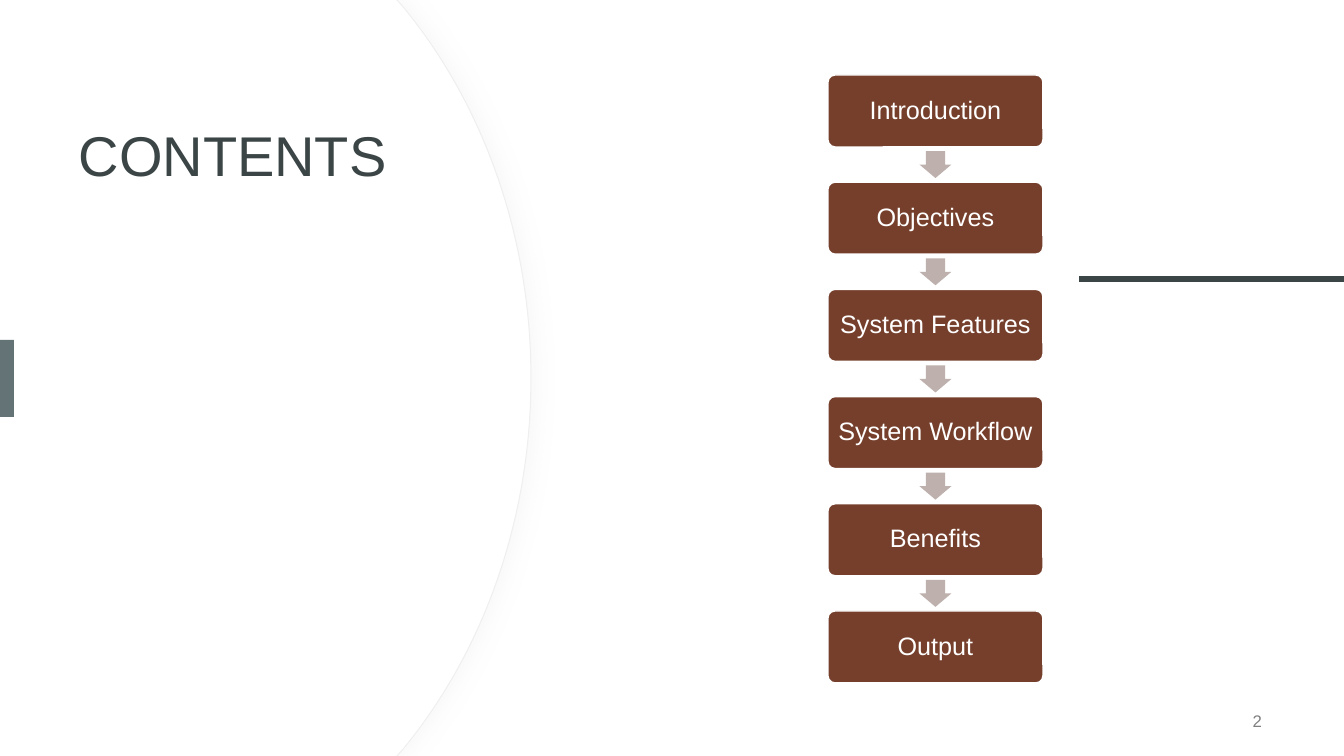
from lxml.etree import SubElement
from pptx import Presentation
from pptx.dml.color import RGBColor
from pptx.enum.shapes import MSO_CONNECTOR, MSO_SHAPE
from pptx.enum.text import MSO_ANCHOR, PP_ALIGN
from pptx.oxml.ns import qn
from pptx.util import Pt

SCALE = 914400 / 100.8
WIDE, HIGH = 1344, 756
FONT = "Arial"
INK = {
    "paper": "FFFFFF", "edge": "EFEFEF", "shade": "D9D9D9", "dark": "3B4546",
    "tab": "637376", "box": "753F2C", "arrow": "BDB0AD", "page": "808080",
}
STEPS = ["Introduction", "Objectives", "System Features",
         "System Workflow", "Benefits", "Output"]


def px(*sizes):
    return [round(size * SCALE) for size in sizes]


def tint(name):
    return RGBColor.from_string(INK[name])


def paint(shape, fill, line=None, width=1):
    shape.shadow.inherit = False
    shape.fill.solid()
    shape.fill.fore_color.rgb = tint(fill)
    if line:
        shape.line.color.rgb = tint(line)
        shape.line.width = Pt(width)
    else:
        shape.line.fill.background()


def add_block(slide, kind, box, fill, line=None):
    shape = slide.shapes.add_shape(kind, *px(*box))
    paint(shape, fill, line)
    return shape


def write(shape, text, size, color, align=PP_ALIGN.LEFT,
          anchor=MSO_ANCHOR.MIDDLE, lead=1.0):
    frame = shape.text_frame
    frame.word_wrap = True
    frame.vertical_anchor = anchor
    para = frame.paragraphs[0]
    para.alignment = align
    para.line_spacing = lead
    run = para.add_run()
    run.text = text
    run.font.name = FONT
    run.font.size = Pt(size)
    run.font.color.rgb = tint(color)


def add_rule(slide, left, right, y):
    line = slide.shapes.add_connector(
        MSO_CONNECTOR.STRAIGHT, *px(left, y, right, y))
    line.line.color.rgb = tint("dark")
    line.line.width = Pt(4.5)
    SubElement(line._element.spPr, qn("a:effectLst"))


def add_glow(shape):
    """Cast a soft, faint shadow to the right of the shape."""
    effects = shape._element.spPr.find(qn("a:effectLst"))
    shadow = SubElement(effects, qn("a:outerShdw"), blurRad=str(Pt(15)),
                        dist=str(Pt(3)), dir="0", algn="l", rotWithShape="0")
    color = SubElement(shadow, qn("a:srgbClr"), val=INK["shade"])
    SubElement(color, qn("a:alpha"), val="20000")


def add_bulge(slide, right, high):
    """Add a full-height panel whose right side bows out to the given x."""
    mid = high / 2
    near, far = right - 134, right - 127
    form = slide.shapes.build_freeform(0, 0, scale=SCALE)
    form.add_line_segments([(near, 0), (far, 8), (right, mid),
                            (far, high - 8), (near, high), (0, high)])
    shape = form.convert_to_shape()
    lines = shape._element.spPr.findall(".//" + qn("a:lnTo"))
    curves = {2: [(right - 49, 103), (right, mid - 144)],
              3: [(right, mid + 144), (right - 49, high - 103)]}
    for i, pulls in curves.items():
        line = lines[i]
        line.tag = qn("a:cubicBezTo")
        for spot, (x, y) in enumerate(pulls):
            pull = SubElement(line, qn("a:pt"), x=str(round(x)), y=str(round(y)))
            line.insert(spot, pull)
    return shape


def add_panel(slide, box):
    left, top, width, height = box
    back = add_bulge(slide, left + width, height)
    paint(back, "paper", "edge", 0.75)
    add_glow(back)
    paint(add_bulge(slide, left + width - 1, height), "paper")
    title = slide.shapes.add_textbox(
        *px(left + 69, top + 129, width - 134, height - 257))
    write(title, "CONTENTS", 40, "dark", anchor=MSO_ANCHOR.TOP, lead=0.8)
    add_block(slide, MSO_SHAPE.RECTANGLE, (left, top + 340, 14, 77), "tab")


def add_flow(slide, box, steps):
    """Stack the steps evenly in the box, with an arrow in each gap."""
    left, top, width, height = box
    tall, wing, drop = 72, 32, 27
    pitch = (height - tall) / (len(steps) - 1)
    for i, step in enumerate(steps):
        y = top + i * pitch
        card = add_block(slide, MSO_SHAPE.ROUNDED_RECTANGLE,
                         (left, y, width, tall), "box", "paper")
        card.adjustments[0] = 0.1
        write(card, step, 18, "paper", PP_ALIGN.CENTER, lead=0.9)
        frame = card.text_frame
        frame.word_wrap = False
        frame.margin_left, frame.margin_right = px(9, 9)
        if i:
            arrow = add_block(
                slide, MSO_SHAPE.DOWN_ARROW,
                (left + (width - wing) / 2, y - (pitch - tall + drop) / 2,
                 wing, drop), "arrow")
            arrow.adjustments[0] = 0.6
            arrow.adjustments[1] = 0.5


def add_page(slide, box, number):
    note = slide.shapes.add_textbox(*px(*box))
    write(note, str(number), 12, "page", PP_ALIGN.RIGHT)


def main():
    deck = Presentation()
    deck.slide_width, deck.slide_height = px(WIDE, HIGH)
    slide = deck.slides.add_slide(deck.slide_layouts[6])
    add_rule(slide, 1079, WIDE, 279)
    add_panel(slide, (0, 0, 531, HIGH))
    add_page(slide, (970, 701, 302, 40), 2)
    add_flow(slide, (828, 75, 215, 608), STEPS)
    deck.save("out.pptx")


if __name__ == "__main__":
    main()
